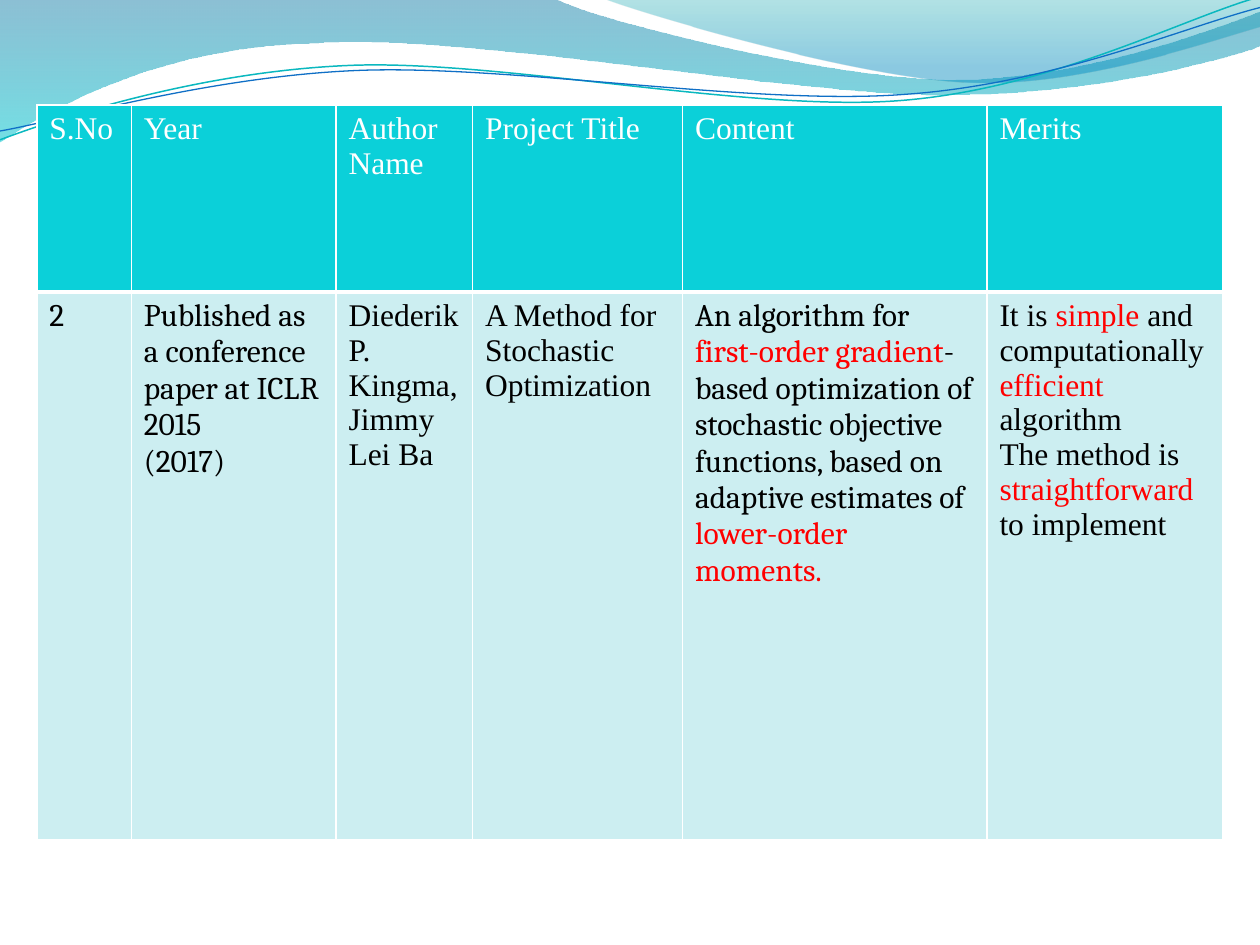
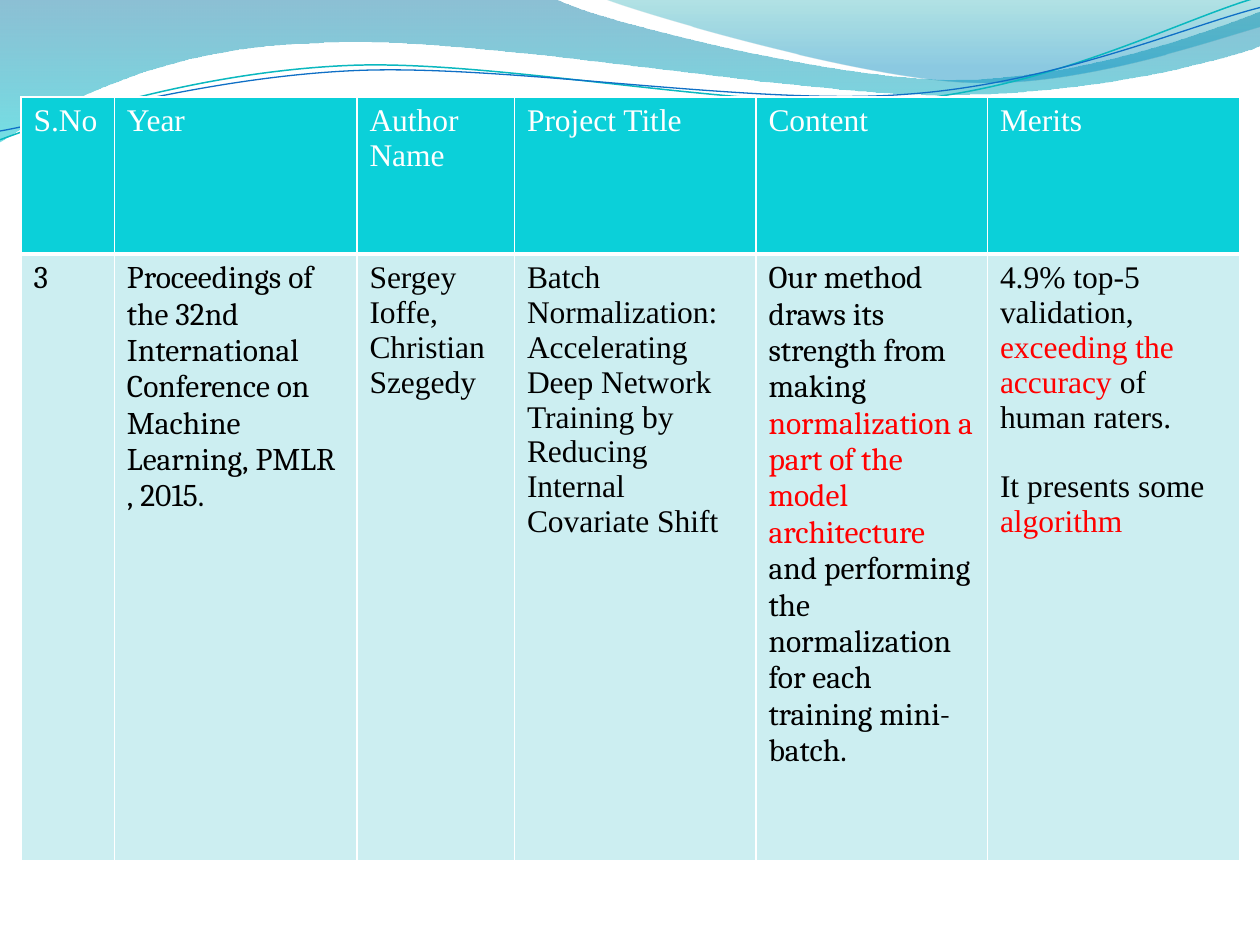
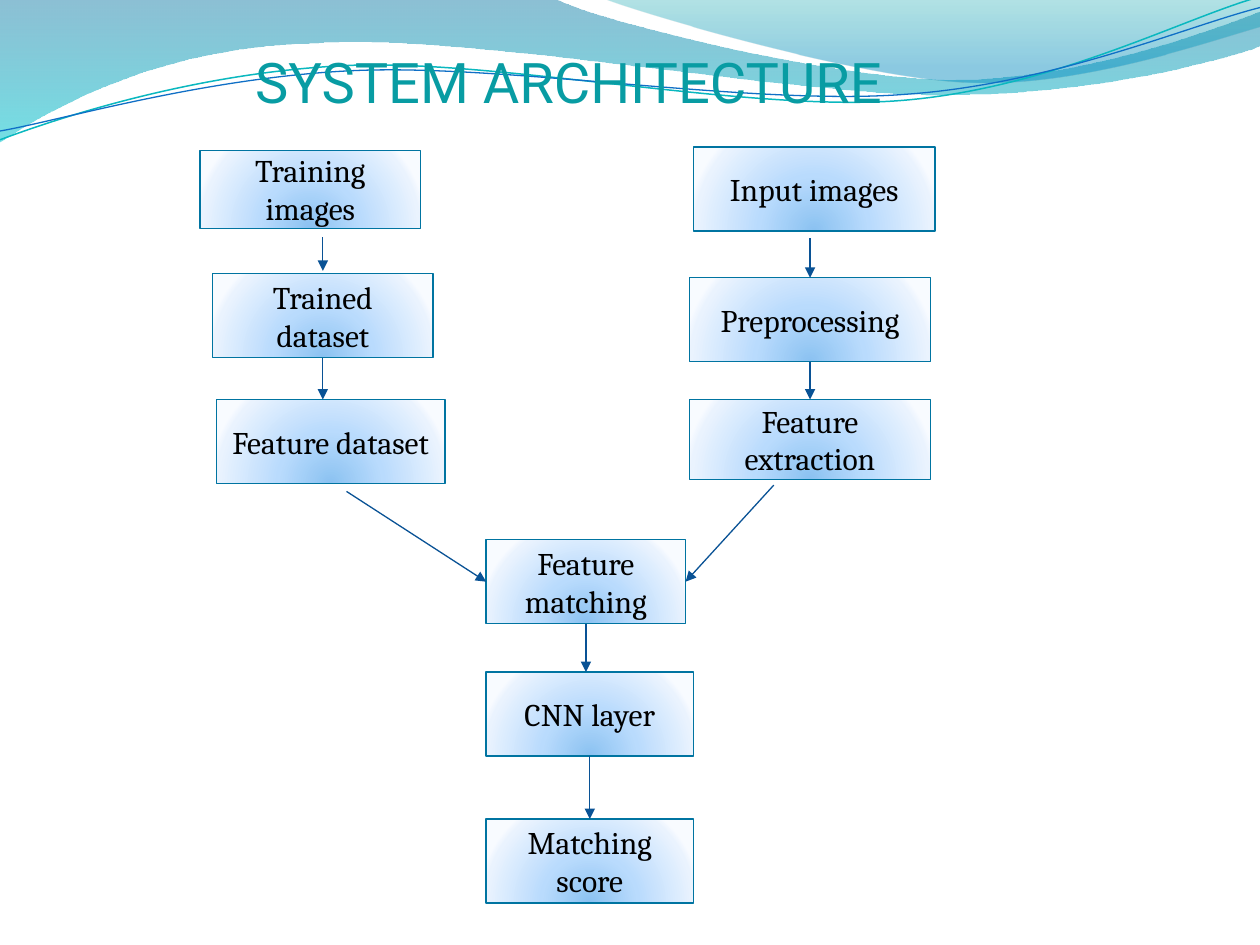
from lxml import etree
from pptx import Presentation
from pptx import util as u
from pptx.dml.color import RGBColor
from pptx.enum import shapes, text
from pptx.oxml import parse_xml
from pptx.oxml.ns import nsdecls, qn

# Shared look
WHITE = RGBColor(0xFF, 0xFF, 0xFF)
BLACK = RGBColor(0x00, 0x00, 0x00)
RED = RGBColor(0xFF, 0x00, 0x00)
HEADER_FILL = RGBColor(0x0B, 0xD0, 0xD9)
BODY_FILL = RGBColor(0xCC, 0xEE, 0xF1)
TITLE_TEAL = RGBColor(0x08, 0x9C, 0xA3)
WAVE_TEAL = RGBColor(0x0A, 0xB8, 0xBF)
WAVE_BLUE = RGBColor(0x0F, 0x6F, 0xC6)
BOX_LINE = RGBColor(0x00, 0x74, 0xA1)
ARROW = RGBColor(0x09, 0x52, 0x95)
DEEP_BLUE, AQUA = BOX_LINE, RGBColor(0x00, 0xC6, 0xCF)
SEA_GREEN, SKY = RGBColor(0x00, 0xA1, 0xA9), RGBColor(0x00, 0x8B, 0xBF)
SERIF, TIMES, SANS = "Cambria", "Times New Roman", "Roboto"
HARD_SPACE = chr(160)

# The slide is a grid of 120 columns by 90 rows of square cells
SLIDE_WIDTH, SLIDE_HEIGHT = u.Inches(10), u.Inches(7.5)
CELL = SLIDE_WIDTH // 120
SLIDE_BOX = (0, 0, 120, 90)

LINEAR = '<a:lin ang="5400000" scaled="0"/>'
RADIAL = ('<a:path path="circle"><a:fillToRect l="50000" t="130000" '
          'r="50000" b="-30000"/></a:path>')
BOX_STOPS = [(0, RGBColor(0x8B, 0xC2, 0xF1), 100), (43, RGBColor(0xB9, 0xDB, 0xFD), 100),
             (93, RGBColor(0xEA, 0xF3, 0xFE), 100), (100, RGBColor(0xF8, 0xFB, 0xFF), 100)]


def cells(count):
    return u.Emu(round(count * CELL))


def color_xml(color, alpha=100):
    return f'<a:srgbClr val="{color}"><a:alpha val="{alpha * 1000}"/></a:srgbClr>'


def fill_gradient(shape, stops, direction):
    """Fill with (position, colour, opacity) stops, all in percent."""
    stop_xml = "".join(f'<a:gs pos="{position * 1000}">{color_xml(color, alpha)}</a:gs>'
                       for position, color, alpha in stops)
    shape.fill.background()
    properties = shape.element.spPr
    properties.replace(properties.find(qn("a:noFill")), parse_xml(
        f'<a:gradFill {nsdecls("a")} rotWithShape="1"><a:gsLst>{stop_xml}</a:gsLst>'
        f'{direction}</a:gradFill>'))


def write_text(frame, words, font=SERIF, size=18, color=BLACK, align=text.PP_ALIGN.LEFT):
    """Lines become paragraphs, *words* turn red, an empty line becomes space before."""
    frame.word_wrap = True
    paragraph, gap = None, 0
    for line in words.split("\n"):
        if not line:
            gap = size * 1.11
            continue
        paragraph = frame.add_paragraph() if paragraph else frame.paragraphs[0]
        paragraph.alignment = align
        if gap:
            paragraph.space_before, gap = u.Pt(gap), 0
        for index, part in enumerate(line.split("*")):
            if part:
                run = paragraph.add_run()
                run.text = part
                run.font.name, run.font.size = font, u.Pt(size)
                run.font.color.rgb = RED if index % 2 else color


# Wave band: points are inches on the slide
def add_wave(slide, start, segments, closed=False):
    """Draw segments of one point (a line) or three points (a cubic curve)."""
    builder = slide.shapes.build_freeform(*map(u.Inches, start))
    builder.add_line_segments([tuple(map(u.Inches, segment[-1])) for segment in segments],
                              close=closed)
    wave = builder.convert_to_shape()
    wave.shadow.inherit = False
    for line, segment in zip(list(wave.element.iter(qn("a:lnTo"))), segments):
        if len(segment) == 3:
            curve = etree.Element(qn("a:cubicBezTo"))
            for x, y in segment:
                etree.SubElement(curve, qn("a:pt"), x=str(u.Inches(x) - wave.left),
                                 y=str(u.Inches(y) - wave.top))
            line.getparent().replace(line, curve)
    return wave


def curves(*points):
    return [points[index:index + 3] for index in range(0, len(points), 3)]


def add_wave_band(slide):
    """Build the band on a slide, then move it to the master that all slides share."""
    sweep = [[(4.4, -0.01)],
             *curves((4.76, 0.17), (6.64, 0.63), (7.58, 0.63),
                     (8.53, 0.63), (9.58, 0.26), (10, 0.09)),
             [(10.01, 0.36)],
             *curves((9.83, 0.44), (8.7, 0.76), (7.46, 0.75),
                     (6.22, 0.75), (3.82, 0.28), (2.57, 0.34),
                     (1.29, 0.36), (0.46, 0.83), (-0.01, 1.13))]
    corner = [*curves((5.09, 0.11), (6.82, 0.62), (7.69, 0.65),
                      (8.56, 0.69), (9.61, 0.32), (10, 0.21)),
              [(10, 0)]]
    teal = curves((0.48, 0.93), (1.58, 0.57), (2.77, 0.52), (3.95, 0.47), (5.93, 0.89),
                  (7.13, 0.8), (8.33, 0.71), (9.38, 0.15), (9.98, -0.02))
    blue = curves((0.47, 0.96), (1.64, 0.61), (2.83, 0.56), (4.03, 0.51), (5.97, 0.84),
                  (7.17, 0.75), (8.36, 0.67), (9.41, 0.21), (10, 0.06))
    waves = []
    for start, outline, stops in (
            ((0, 0), sweep, [(0, DEEP_BLUE, 45), (100, AQUA, 55)]),
            ((4.79, -0.01), corner, [(0, SEA_GREEN, 30), (80, SKY, 45)])):
        wave = add_wave(slide, start, outline, closed=True)
        fill_gradient(wave, stops, LINEAR)
        wave.line.fill.background()
        waves.append(wave)
    for start, outline, color, width in (((0, 1.11), teal, WAVE_TEAL, 0.85),
                                         ((0, 1.04), blue, WAVE_BLUE, 0.75)):
        wave = add_wave(slide, start, outline)
        wave.fill.background()
        wave.line.color.rgb, wave.line.width = color, u.Pt(width)
        waves.append(wave)
    master_tree = slide.slide_layout.slide_master.shapes.element
    for position, wave in enumerate(waves, start=2):
        master_tree.insert(position, wave.element)


# Literature tables
HEADINGS = ["S.No", "Year", "Author Name", "Project Title", "Content", "Merits"]
BODY_FONTS = [SERIF, SERIF, TIMES, TIMES, SERIF, TIMES]


def format_cell(cell, words, fill, thick_side, **text_format):
    cell.fill.solid()
    cell.fill.fore_color.rgb = fill
    properties = cell._tc.get_or_add_tcPr()
    for index, side in enumerate("LRTB"):
        width = u.Pt(3 if side == thick_side else 1)
        properties.insert(index, parse_xml(
            f'<a:ln{side} {nsdecls("a")} w="{width}"><a:solidFill>{color_xml(WHITE)}'
            f'</a:solidFill></a:ln{side}>'))
    write_text(cell.text_frame, words, **text_format)


def add_survey_table(slide, box, columns, header_rows, entries):
    height = box[3]
    table = slide.shapes.add_table(2, len(columns), *map(cells, box)).table
    table.first_row = table.horz_banding = False
    for row, rows in zip(table.rows, (header_rows, height - header_rows)):
        row.height = cells(rows)
    for index, (count, heading, entry, font) in enumerate(
            zip(columns, HEADINGS, entries, BODY_FONTS)):
        table.columns[index].width = cells(count)
        format_cell(table.cell(0, index), heading, HEADER_FILL, "B", font=TIMES, color=WHITE)
        format_cell(table.cell(1, index), entry, BODY_FILL, "T", font=font)


# Architecture diagram
TOP, LEFT, BOTTOM, RIGHT = range(4)
STEPS = {  # name: column, row, width, height
    "Training images": (19.05, 14.3, 21, 7.45),
    "Input images": (66.05, 14, 23, 8),
    "Trained dataset": (20.25, 26.05, 21, 8),
    "Preprocessing": (65.65, 26.45, 23, 8),
    "Feature dataset": (20.6, 38.05, 21.8, 8),
    "Feature extraction": (65.65, 38.05, 23, 7.6),
    "Feature matching": (46.3, 51.4, 19, 8),
    "CNN layer": (46.3, 64, 19.75, 8),
    "Matching score": (46.3, 78, 19.75, 8),
}
ARROWS = [  # each end is a step and its side, or a column and row
    ((33, 46.8), ("Feature matching", LEFT)),
    ((73.7, 46.2), ("Feature matching", RIGHT)),
    (("Feature matching", BOTTOM), (55.8, 64)),
    (("CNN layer", BOTTOM), ("Matching score", TOP)),
    ((30.75, 22.6), (30.75, 25.8)),
    ((77.15, 22.7), ("Preprocessing", TOP)),
    (("Preprocessing", BOTTOM), ("Feature extraction", TOP)),
    (("Trained dataset", BOTTOM), (30.75, 38.05)),
]


def add_title(slide, box, words):
    title = slide.shapes.title
    title.left, title.top, title.width, title.height = map(cells, box)
    frame = title.text_frame
    frame.auto_size = text.MSO_AUTO_SIZE.NONE
    frame.vertical_anchor = text.MSO_ANCHOR.BOTTOM
    frame.margin_left, frame.margin_right = cells(22.3), 0
    frame.margin_top, frame.margin_bottom = cells(0.6), cells(7.3)
    write_text(frame, words, font=SANS, size=32, color=TITLE_TEAL)


def add_step(slide, box, words):
    step = slide.shapes.add_shape(shapes.MSO_SHAPE.RECTANGLE, *map(cells, box))
    fill_gradient(step, BOX_STOPS, RADIAL)
    step.line.color.rgb, step.line.width = BOX_LINE, u.Pt(0.75)
    step.shadow.inherit = False
    step.text_frame.vertical_anchor = text.MSO_ANCHOR.MIDDLE
    write_text(step.text_frame, words, align=text.PP_ALIGN.CENTER)
    return step


def add_arrow(slide, origin, ends, steps):
    joined = [isinstance(end[0], str) for end in ends]
    points = [(0, 0) if join else (cells(origin[0] + end[0]), cells(origin[1] + end[1]))
              for end, join in zip(ends, joined)]
    arrow = slide.shapes.add_connector(shapes.MSO_CONNECTOR.STRAIGHT, *points[0], *points[1])
    for end, join, connect in zip(ends, joined, (arrow.begin_connect, arrow.end_connect)):
        if join:
            connect(steps[end[0]], end[1])
    arrow.line.color.rgb, arrow.line.width = ARROW, u.Pt(0.75)
    properties = arrow.element.spPr
    etree.SubElement(properties.find(qn("a:ln")), qn("a:tailEnd"), type="triangle")
    etree.SubElement(properties, qn("a:effectLst"))


def add_flow(slide, box):
    left, top = box[:2]
    steps = {name: add_step(slide, (left + column, top + row, width, height), name)
             for name, (column, row, width, height) in STEPS.items()}
    for ends in ARROWS:
        add_arrow(slide, (left, top), ends, steps)


def main():
    presentation = Presentation()
    presentation.slide_width, presentation.slide_height = SLIDE_WIDTH, SLIDE_HEIGHT
    title_only, blank = presentation.slide_layouts[5], presentation.slide_layouts[6]

    # Survey entry 2
    slide = presentation.slides.add_slide(blank)
    add_wave_band(slide)
    add_survey_table(slide, (3.5, 10, 113, 70), [9, 19.5, 13, 20, 29, 22.5], 17.8, [
        "2",
        "Published as a conference paper at ICLR 2015\n(2017)",
        "Diederik P. Kingma, Jimmy Lei Ba",
        "A Method for Stochastic Optimization",
        "An algorithm for *first-order gradient*-based optimization of stochastic objective "
        "functions, based on adaptive estimates of *lower-order moments.*",
        "It is *simple* and computationally *efficient* algorithm\n"
        "The method is *straightforward* to implement",
    ])

    # Survey entry 3
    slide = presentation.slides.add_slide(blank)
    add_survey_table(slide, (2, 9.25, 116.1, 72.75), [8.9, 23.1, 15, 23, 22.05, 24.05], 14.95, [
        "3",
        "Proceedings of the 32nd International Conference on Machine "
        f"Learning,{HARD_SPACE}PMLR ,{HARD_SPACE}2015.",
        "Sergey Ioffe, Christian Szegedy",
        "Batch Normalization: Accelerating Deep Network Training by\n"
        "Reducing Internal Covariate Shift",
        "Our method draws its strength from making *normalization a part of the model "
        "architecture *and performing the normalization for each training mini-batch.",
        "4.9% top-5 validation, *exceeding the accuracy* of human raters.\n\n"
        "It presents some *algorithm*",
    ])

    # System architecture
    slide = presentation.slides.add_slide(title_only)
    add_title(slide, (2, 1.2, 111, 17), "SYSTEM ARCHITECTURE")
    add_flow(slide, SLIDE_BOX)

    presentation.save("out.pptx")


if __name__ == "__main__":
    main()
